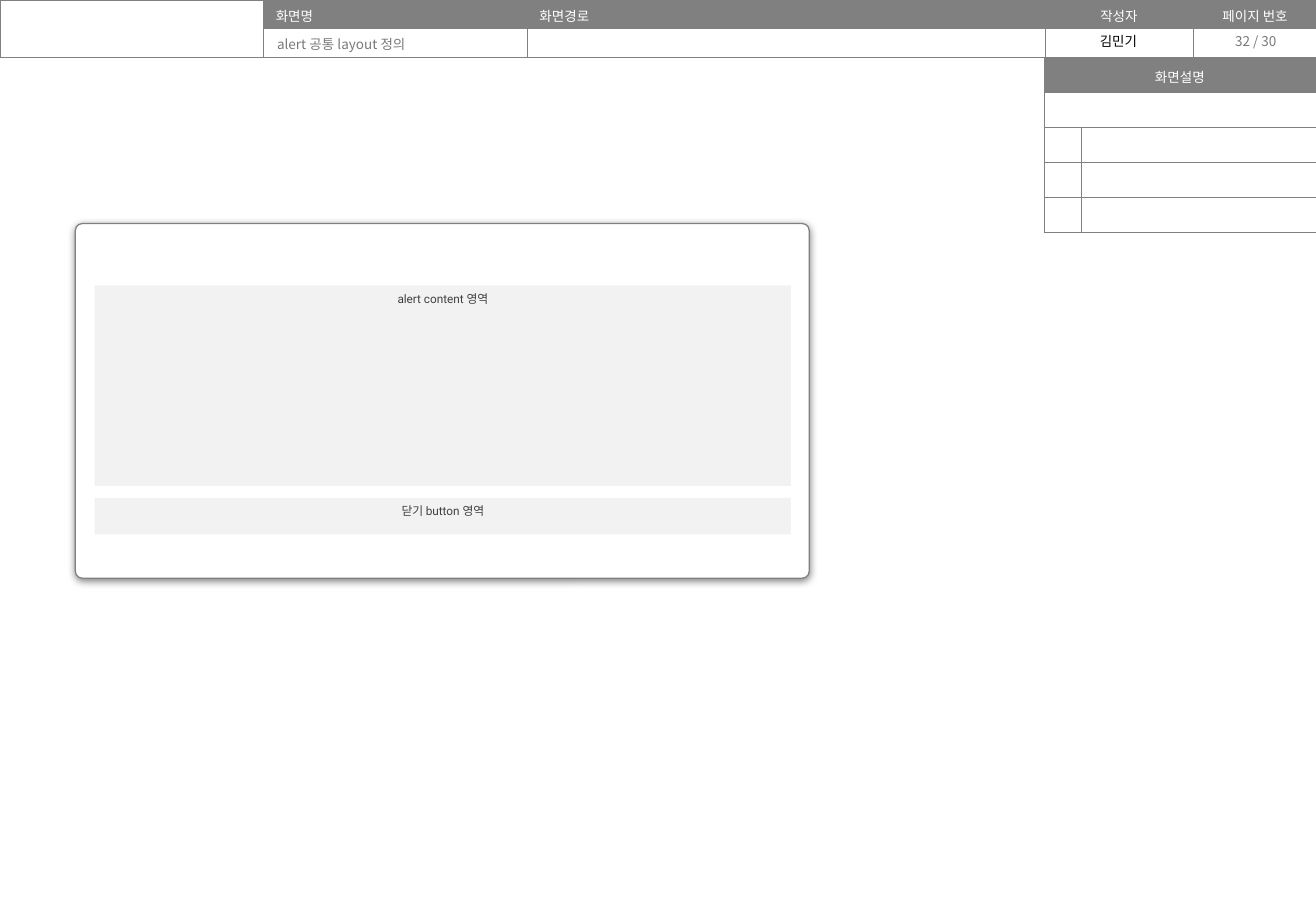
from dataclasses import dataclass
from typing import Optional

from lxml import etree
from pptx import Presentation
from pptx.dml.color import RGBColor
from pptx.enum.shapes import MSO_SHAPE
from pptx.enum.text import MSO_ANCHOR, PP_ALIGN
from pptx.oxml.ns import qn
from pptx.util import Inches, Pt

LEFT, CENTER = PP_ALIGN.LEFT, PP_ALIGN.CENTER
TOP, MIDDLE = MSO_ANCHOR.TOP, MSO_ANCHOR.MIDDLE
ROUNDED = MSO_SHAPE.ROUNDED_RECTANGLE
KOREAN_FONT, LATIN_FONT = "Noto Sans CJK KR", "Roboto"
TITLE_ONLY = 5
COLORS = {
    "white": "FFFFFF",
    "black": "000000",
    "gray": "808080",
    "label": "797979",
    "area": "F2F2F2",
    "area_text": "404040",
}


@dataclass
class TextStyle:
    size: float = 8
    color: str = "white"
    font: str = KOREAN_FONT
    align: PP_ALIGN = LEFT
    anchor: MSO_ANCHOR = TOP


@dataclass
class Box:
    left: float
    top: float
    width: float
    height: float

    def lengths(self) -> list:
        return [Inches(v) for v in (self.left, self.top, self.width, self.height)]


@dataclass
class Label:
    text: str
    box: Box
    style: TextStyle


@dataclass
class Panel:
    box: Box
    fill: str
    corner: float = 0
    text: str = ""
    line: Optional[str] = None


def rgb(name: str) -> RGBColor:
    return RGBColor.from_string(COLORS[name])


def write(frame, text: str, style: TextStyle) -> None:
    frame.text = text
    para = frame.paragraphs[0]
    para.alignment = style.align
    for span in para.runs:
        span.font.size = Pt(style.size)
        span.font.color.rgb = rgb(style.color)
        span.font.name = style.font
        etree.SubElement(span.font._element, qn("a:ea"), typeface=KOREAN_FONT)
    if not text:
        etree.SubElement(para._p, qn("a:endParaRPr"), sz=str(int(style.size * 100)))


def add_borders(cell) -> None:
    properties = cell._tc.get_or_add_tcPr()
    for index, side in enumerate(("lnL", "lnR", "lnT", "lnB")):
        line = etree.Element(qn(f"a:{side}"), w=str(Pt(0.25)))
        fill = etree.SubElement(line, qn("a:solidFill"))
        etree.SubElement(fill, qn("a:srgbClr"), val=COLORS["gray"])
        properties.insert(index, line)


def add_grid(slide, box: Box, widths: list[float], rows: int):
    table = slide.shapes.add_table(rows, len(widths), *box.lengths()).table
    table.first_row = table.horz_banding = False
    for column, width in zip(table.columns, widths):
        column.width = Inches(width)
    for row in table.rows:
        row.height = Inches(box.height / rows)
        for cell in row.cells:
            cell.margin_top, cell.margin_bottom = Inches(0.05), Inches(0.01)
            cell.fill.background()
            add_borders(cell)
            write(cell.text_frame, "", TextStyle())
    return table


def fill_heading(cell, text: str, style: TextStyle) -> None:
    cell.fill.solid()
    cell.fill.fore_color.rgb = rgb("gray")
    cell.vertical_anchor = style.anchor
    write(cell.text_frame, text, style)


def place_label(shape, label: Label) -> None:
    shape.left, shape.top, shape.width, shape.height = label.box.lengths()
    frame = shape.text_frame
    frame.word_wrap = True
    frame.vertical_anchor = label.style.anchor
    write(frame, label.text, label.style)


def add_panel(slide, panel: Panel, style: TextStyle):
    shape = slide.shapes.add_shape(ROUNDED, *panel.box.lengths())
    shape.adjustments[0] = panel.corner
    shape.shadow.inherit = False
    shape.fill.solid()
    shape.fill.fore_color.rgb = rgb(panel.fill)
    if panel.line:
        shape.line.color.rgb = rgb(panel.line)
        shape.line.width = Pt(0.75)
    else:
        shape.line.fill.background()
    if panel.text:
        shape.text_frame.vertical_anchor = style.anchor
        write(shape.text_frame, panel.text, style)
    return shape


def add_shadow(shape) -> None:
    effects = shape._element.spPr.find(qn("a:effectLst"))
    shadow = etree.SubElement(
        effects, qn("a:outerShdw"), blurRad=str(Pt(4.5)), dist=str(Pt(1.5)),
        dir="5400000", algn="t", rotWithShape="0",
    )
    color = etree.SubElement(shadow, qn("a:srgbClr"), val=COLORS["black"])
    etree.SubElement(color, qn("a:alpha"), val="49000")


def main() -> None:
    deck = Presentation()
    deck.slide_width, deck.slide_height = Inches(10.83), Inches(7.5)
    page = deck.slides.add_slide(deck.slide_layouts[TITLE_ONLY])

    title = Label("alert 공통 layout 정의", Box(2.18, 0.24, 2.18, 0.24),
                  TextStyle(color="label", anchor=MIDDLE))
    place_label(page.shapes.title, title)

    header = add_grid(page, Box(0, 0, 10.83, 0.47), [2.17, 2.17, 4.26, 1.22, 1.02], 2)
    header.cell(0, 0).merge(header.cell(1, 0))
    headings = [("화면명", LEFT), ("화면경로", LEFT), ("작성자", CENTER), ("페이지 번호", CENTER)]
    for column, (text, align) in enumerate(headings, start=1):
        fill_heading(header.cell(0, column), text, TextStyle(align=align))

    labels = [
        Label("김민기", Box(8.59, 0.22, 1.23, 0.24), TextStyle(color="black", align=CENTER)),
        Label("32 / 30", Box(9.83, 0.22, 1.01, 0.24),
              TextStyle(color="label", align=CENTER, anchor=MIDDLE)),
    ]
    for label in labels:
        place_label(page.shapes.add_textbox(*label.box.lengths()), label)

    notes = add_grid(page, Box(8.59, 0.47, 2.24, 1.44), [0.31, 1.93], 5)
    for row in notes.rows:
        for cell in row.cells:
            cell.fill.solid()
            cell.fill.fore_color.rgb = rgb("white")
    for row in range(2):
        notes.cell(row, 0).merge(notes.cell(row, 1))
    fill_heading(notes.cell(0, 0), "화면설명", TextStyle(align=CENTER, anchor=MIDDLE))

    area_style = TextStyle(7, "area_text", LATIN_FONT, CENTER)
    dialog = Panel(Box(0.62, 1.84, 6.04, 2.92), "white", corner=0.02, line="gray")
    add_shadow(add_panel(page, dialog, area_style))
    areas = [
        Panel(Box(0.78, 2.35, 5.73, 1.65), "area", text="alert content 영역"),
        Panel(Box(0.78, 4.1, 5.73, 0.3), "area", text="닫기 button 영역"),
    ]
    for area in areas:
        add_panel(page, area, area_style)

    deck.save("out.pptx")


if __name__ == "__main__":
    main()
